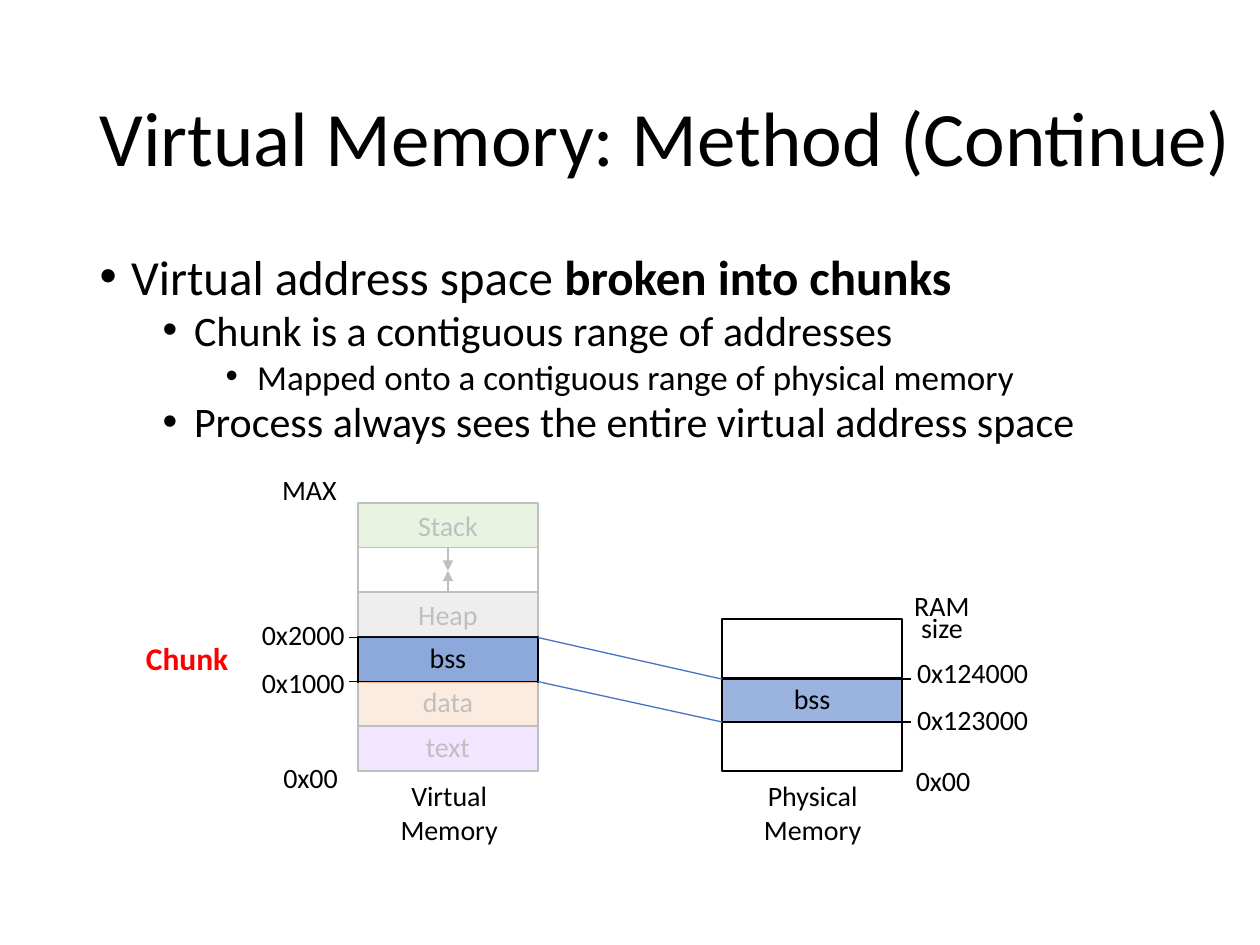
from lxml import etree
from pptx import Presentation
from pptx import util as u
from pptx.dml.color import RGBColor
from pptx.enum import shapes, text
from pptx.oxml.ns import qn

BLACK = RGBColor(0x00, 0x00, 0x00)
WHITE = RGBColor(0xFF, 0xFF, 0xFF)
RED = RGBColor(0xFF, 0x00, 0x00)
GREEN = RGBColor(0xA8, 0xD0, 0x8C)
GREY = RGBColor(0xBF, 0xBF, 0xBF)
BLUE = RGBColor(0x8D, 0xA9, 0xDB)
ORANGE = RGBColor(0xF4, 0xB0, 0x81)
PURPLE = RGBColor(0xCC, 0x99, 0xFF)
MAP_BLUE = RGBColor(0x44, 0x72, 0xC4)
LEFT, CENTER = text.PP_ALIGN.LEFT, text.PP_ALIGN.CENTER


class Builder:
    font_name = "Calibri"

    def __init__(self, slide):
        self.s = slide

    def set_font(self, font, size, color=BLACK, bold=False):
        for key, value in dict(name=self.font_name, size=u.Pt(size), bold=bold).items():
            setattr(font, key, value)
        font.color.rgb = color

    def place(self, sp, *at):
        for key, value in zip(("left", "top", "width", "height"), at):
            setattr(sp, key, u.Inches(value))

    def set_alpha(self, sp, percent):
        color = sp.fill._xPr.find(qn("a:solidFill"))[0]
        etree.SubElement(color, qn("a:alpha")).set("val", str(percent * 1000))

    def title(self, words, *at):
        sp = self.s.shapes.title
        self.place(sp, *at)
        tf = sp.text_frame
        tf.auto_size = text.MSO_AUTO_SIZE.NONE
        tf.vertical_anchor = text.MSO_ANCHOR.MIDDLE
        p = tf.paragraphs[0]
        p.text, p.alignment, p.line_spacing = words, LEFT, 0.9
        self.set_font(p.runs[0].font, 44)

    def body(self, items, *at):
        sp = self.s.placeholders[1]
        self.place(sp, *at)
        tf = sp.text_frame
        tf.auto_size = text.MSO_AUTO_SIZE.NONE
        for i, (level, runs) in enumerate(items):
            p = tf.paragraphs[0] if i == 0 else tf.add_paragraph()
            p.level, p.line_spacing = level, 0.8
            p.space_before = u.Pt(5 if i else 0)
            pPr = p._p.get_or_add_pPr()
            pPr.set("marL", str(u.Inches(0.25 + 0.5 * level)))
            pPr.set("indent", str(u.Inches(-0.25)))
            etree.SubElement(pPr, qn("a:buFont")).set("typeface", "Arial")
            etree.SubElement(pPr, qn("a:buChar")).set("char", "•")
            for words, bold in runs:
                r = p.add_run()
                r.text = words
                self.set_font(r.font, 28 - 4 * level, bold=bold)

    def box(self, at, fill, words="", line=True, alpha=None, spacing=None):
        sp = self.s.shapes.add_shape(shapes.MSO_SHAPE.RECTANGLE, *map(u.Inches, at))
        sp.shadow.inherit = False
        sp.fill.solid()
        sp.fill.fore_color.rgb = fill
        if alpha:
            self.set_alpha(sp, alpha)
        if line:
            sp.line.color.rgb, sp.line.width = BLACK, u.Pt(1)
        else:
            sp.line.fill.background()
        if words:
            p = sp.text_frame.paragraphs[0]
            p.text, p.alignment, p.line_spacing = words, CENTER, spacing
            self.set_font(p.runs[0].font, 16)
        return sp

    def label(self, words, at, size=16, color=BLACK, bold=False,
              align=LEFT, spacing=None, wrap=False):
        sp = self.s.shapes.add_textbox(*map(u.Inches, at))
        tf = sp.text_frame
        tf.word_wrap = wrap
        for i, part in enumerate(words.split("\n")):
            p = tf.paragraphs[0] if i == 0 else tf.add_paragraph()
            p.text, p.alignment, p.line_spacing = part, align, spacing
            self.set_font(p.runs[0].font, size, color, bold)

    def line(self, start, end, color=BLACK, arrow=False):
        c = self.s.shapes.add_connector(
            shapes.MSO_CONNECTOR.STRAIGHT, *map(u.Inches, start + end))
        c.line.color.rgb, c.line.width = color, u.Pt(0.75)
        if arrow:
            etree.SubElement(c.line._get_or_add_ln(), qn("a:tailEnd")).set("type", "triangle")
        etree.SubElement(c._element.spPr, qn("a:effectLst"))
        return c


def main():
    prs = Presentation()
    prs.slide_width, prs.slide_height = u.Inches(10), u.Inches(7.5)
    b = Builder(prs.slides.add_slide(prs.slide_layouts[1]))

    # Title and bullets
    b.title("Virtual Memory: Method (Continue)", 0.69, 0.4, 9.31, 1.45)
    b.body([
        (0, [("Virtual address space ", False), ("broken into chunks", True)]),
        (1, [("Chunk is a contiguous range of addresses", False)]),
        (2, [("Mapped onto a contiguous range of physical memory", False)]),
        (1, [("Process always sees the entire virtual address space", False)]),
    ], 0.69, 2, 8.62, 1.69)

    # Virtual memory stack, six equal rows; bss last so its border is on top
    virt, phys, width, top, bottom = 2.84, 5.73, 1.43, 3.99, 6.12
    row = (bottom - top) / 6
    segments = [(0, "Stack", GREEN, None), (1, "", WHITE, None), (2, "Heap", GREY, None),
                (5, "text", PURPLE, 0.89), (4, "data", ORANGE, 0.89), (3, "bss", BLUE, 0.89)]
    rows = {}
    for i, words, fill, spacing in segments:
        rows[i] = b.box((virt, top + i * row, width, row), fill, words, spacing=spacing)

    # Growth arrows meeting in the free row
    mid = virt + width / 2
    gap = (mid, 4.53)
    b.line((mid, top + row), gap, arrow=True).begin_connect(rows[0], 2)
    b.line((mid, top + 2 * row), gap, arrow=True).begin_connect(rows[2], 0)

    # Physical memory
    b.box((phys, 4.91, width, bottom - 4.91), WHITE)
    b.box((phys, 5.38, width, row), BLUE, "bss", alpha=88, spacing=0.89)

    # Captions and address labels
    for words, left, w in [("Virtual Memory", 3.01, 1.11), ("Physical Memory", 5.85, 1.2)]:
        b.label(words, (left, 6.13, w, 0.64), align=CENTER, wrap=True)
    for words, left, y, w in [
        ("MAX", 2.14, 3.7, 0.64), ("0x00", 2.15, 5.99, 0.64),
        ("0x2000", 1.98, 4.85, 0.87), ("0x1000", 1.98, 5.23, 0.87),
        ("0x124000", 7.18, 5.15, 1.1), ("0x123000", 7.18, 5.53, 1.1),
        ("0x00", 7.17, 6.01, 0.64),
    ]:
        b.label(words, (left, y, w, 0.37))
    b.label("RAM\nsize", (7.15, 4.7, 0.65, 0.48), align=CENTER, spacing=0.67)
    b.label("Chunk", (1.06, 5.02, 0.86, 0.4), size=18, color=RED, bold=True)

    # Chunk boundaries and the mapping between the two memories
    for virt_y, phys_y in [(5.06, 5.39), (5.41, 5.73)]:
        b.line((virt + width, virt_y), (2.77, virt_y))
        b.line((phys + 1.5, phys_y), (phys, phys_y))
        b.line((phys, phys_y), (virt + width, virt_y), MAP_BLUE)

    # Veils that fade everything but the chunk
    for at in [(2.75, 3.88, 1.54, 1.17), (2.77, 5.42, 1.54, 0.78)]:
        b.box(at, WHITE, line=False, alpha=75)

    prs.save("out.pptx")


if __name__ == "__main__":
    main()
